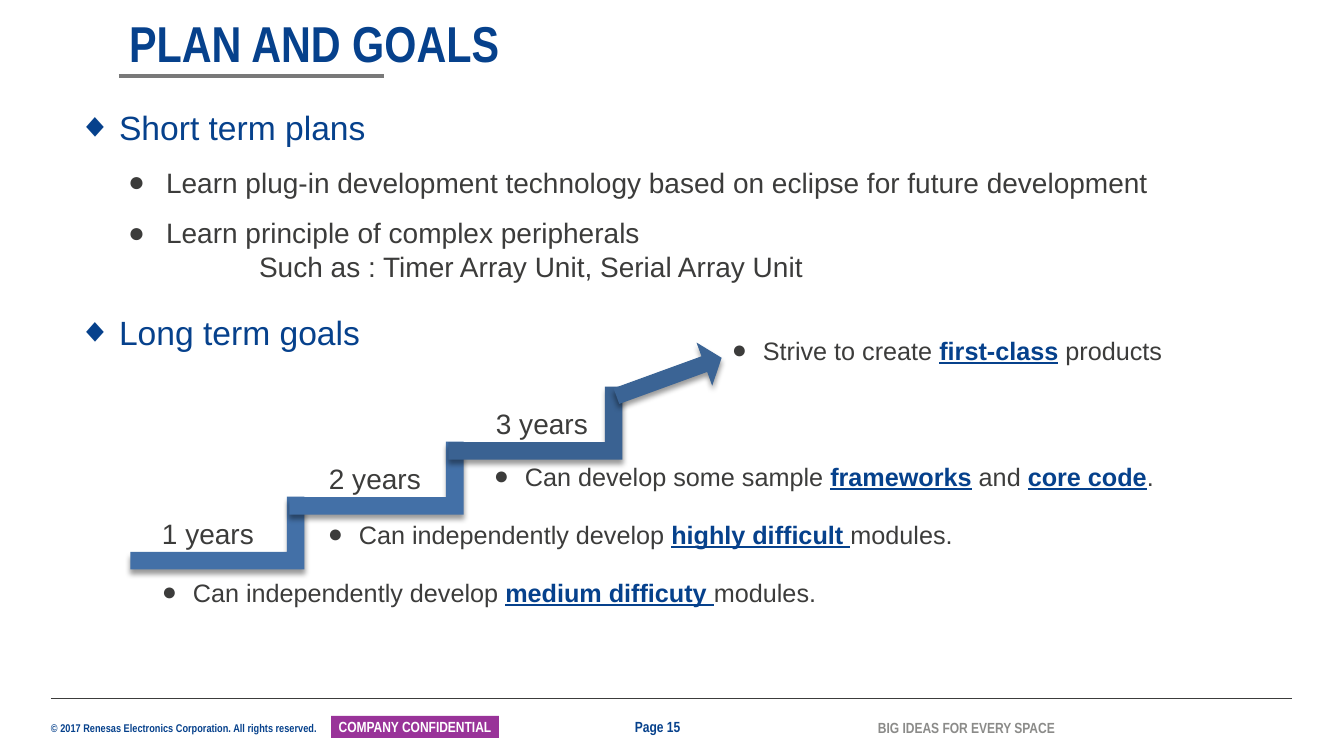
from lxml import etree
from pptx import Presentation
from pptx.dml.color import RGBColor
from pptx.enum.shapes import MSO_CONNECTOR as Connector, MSO_SHAPE as Shape
from pptx.enum.text import MSO_ANCHOR as Anchor, MSO_AUTO_SIZE as AutoSize, PP_ALIGN as Align
from pptx.oxml import parse_xml
from pptx.oxml.ns import nsdecls, qn
from pptx.util import Emu, Pt

PX = 914400 / 100.8
BLUE, DARK, GREY, WHITE = "06418C", "3C3C3B", "8B8B89", "FFFFFF"
NARROW, SANS = "Arial Narrow", "Arial"
DIAMOND, DOT = "◆", "●"

TITLE = "PLAN AND GOALS"
# text, level, bullet, indent px, hanging px, space before pt, size pt, colour
SHORT_TERM = [
    ("Short term plans", 0, DIAMOND, 41, 41, 0, 24, BLUE),
    ("Learn plug-in development technology based on eclipse for future development",
     1, DOT, 88, 38, 13, 20, DARK),
    ("Learn principle of complex peripherals", 1, DOT, 88, 38, 12, 20, DARK),
    ("Such as : Timer Array Unit, Serial Array Unit", 1, None, 181, 0, 0, 20, DARK),
]
LONG_TERM = [("Long term goals", 0, DIAMOND, 41, 41, 0, 24, BLUE)]

# label, step colour, caption width, caption runs (text, is key phrase)
STEPS = [
    ("1 years", "4370A7", 681, [("Can independently develop ", False),
                                ("medium difficuty ", True), ("modules.", False)]),
    ("2 years", "4370A7", 651, [("Can independently develop ", False),
                                ("highly difficult ", True), ("modules.", False)]),
    ("3 years", "3A6292", 690, [("Can develop some sample ", False), ("frameworks", True),
                                (" and ", False), ("core code", True), (".", False)]),
]
FINAL_GOAL = [("Strive to create ", False), ("first-class", True), (" products", False)]

# text, box px, size pt, colour
FOOTERS = [
    ("© 2017 Renesas Electronics Corporation. All rights reserved.", (51, 722, 275, 13), 8, BLUE),
    ("Page 15", (635, 718, 74, 18), 10.5, BLUE),
    ("BIG IDEAS FOR EVERY SPACE", (878, 719, 181, 18), 10.5, GREY),
]
BADGE = "COMPANY CONFIDENTIAL"
# start x, end x, y, colour, width pt
RULES = [(51, 1292, 698, DARK, 0.5), (119, 384, 76, "797979", 3)]


def px(*lengths):
    return [Emu(round(length * PX)) for length in lengths]


def color(value):
    return RGBColor.from_string(value)


def add_run(para, text, size, tone, font=SANS, bold=False, underline=False):
    run = para.add_run()
    run.text = text
    run.font.name, run.font.size = font, Pt(size)
    run.font.bold, run.font.underline = bold, underline
    run.font.color.rgb = color(tone)


def set_bullet(para, bullet, indent, hanging):
    props = para._p.get_or_add_pPr()
    left, first = px(indent, -hanging)
    props.set("marL", str(left))
    props.set("indent", str(first))
    if bullet:
        etree.SubElement(props, qn("a:buFont")).set("typeface", SANS)
        etree.SubElement(props, qn("a:buChar")).set("char", bullet)
    else:
        etree.SubElement(props, qn("a:buNone"))


def place(shape, box):
    shape.left, shape.top, shape.width, shape.height = px(*box)


def add_text(page, box, margin=True):
    """Add a wrapping text box and return its text frame."""
    frame = page.shapes.add_textbox(*px(*box)).text_frame
    frame.word_wrap = True
    if not margin:
        frame.margin_left = frame.margin_right = frame.margin_top = frame.margin_bottom = 0
    return frame


def fill_list(holder, box, items):
    place(holder, box)
    frame = holder.text_frame
    frame.auto_size = AutoSize.NONE
    frame.vertical_anchor = Anchor.TOP
    for number, (text, level, bullet, indent, hanging, before, size, tone) in enumerate(items):
        para = frame.add_paragraph() if number else frame.paragraphs[0]
        para.level = level
        set_bullet(para, bullet, indent, hanging)
        para.space_before = Pt(before)
        add_run(para, text, size, tone)


def add_caption(page, box, parts):
    para = add_text(page, box).paragraphs[0]
    set_bullet(para, DOT, 31, 31)
    for text, key in parts:
        add_run(para, text, 18, BLUE if key else DARK, bold=key, underline=key)


def add_block(page, kind, box, tone, rotation, adjustments):
    """Add a rotated, unlined shape with a soft shadow below it."""
    block = page.shapes.add_shape(kind, *px(*box))
    block.rotation = rotation
    for number, value in enumerate(adjustments):
        block.adjustments[number] = value
    block.fill.solid()
    block.fill.fore_color.rgb = color(tone)
    block.line.fill.background()
    block.shadow.inherit = False
    effects = block._element.spPr.find(qn("a:effectLst"))
    effects.append(parse_xml(
        f'<a:outerShdw {nsdecls("a")} blurRad="{Pt(4)}" dist="{Pt(3)}" dir="5400000" '
        'rotWithShape="0"><a:srgbClr val="000000"><a:alpha val="40000"/></a:srgbClr>'
        '</a:outerShdw>'))


def add_rule(page, start, end, y, tone, width):
    rule = page.shapes.add_connector(Connector.STRAIGHT, *px(start, y, end, y))
    rule.line.color.rgb = color(tone)
    rule.line.width = Pt(width)
    etree.SubElement(rule._element.spPr, qn("a:effectLst"))


def add_footer(page):
    for text, box, size, tone in FOOTERS:
        frame = add_text(page, box, margin=False)
        frame.vertical_anchor = Anchor.MIDDLE
        add_run(frame.paragraphs[0], text, size, tone, NARROW, bold=True)
    badge = page.shapes.add_shape(Shape.RECTANGLE, *px(331, 716, 168, 22))
    badge.shadow.inherit = False
    badge.fill.solid()
    badge.fill.fore_color.rgb = color("993399")
    badge.line.fill.background()
    frame = badge.text_frame
    frame.margin_left, frame.margin_right = px(4, 4)
    frame.margin_top = frame.margin_bottom = 0
    frame.vertical_anchor = Anchor.MIDDLE
    para = frame.paragraphs[0]
    para.alignment = Align.CENTER
    add_run(para, BADGE, 10.5, WHITE, NARROW, bold=True)


def add_title(title):
    place(title, (119, 13, 940, 66))
    frame = title.text_frame
    frame.auto_size = AutoSize.NONE
    frame.vertical_anchor = Anchor.MIDDLE
    para = frame.paragraphs[0]
    para.alignment = Align.LEFT
    para.line_spacing = 0.9
    add_run(para, TITLE, 36, BLUE, NARROW, bold=True)


def add_staircase(page):
    for number, (label, tone, width, parts) in enumerate(STEPS):
        rise = 55 * number
        add_block(page, Shape.CORNER, (181 + 159 * number, 446 - rise, 73, 174),
                  tone, 270, (0.24, 0.24))
        para = add_text(page, (152 + 167 * number, 512 - rise, 116, 44)).paragraphs[0]
        add_run(para, label, 20, DARK)
        add_caption(page, (152 + 166 * number, 572 - 58 * number, width, 40), parts)
    add_block(page, Shape.UP_ARROW, (646, 321, 46, 112), "3B6495", 70, (0.36, 0.4))
    add_caption(page, (722, 330, 455, 40), FINAL_GOAL)


def main():
    deck = Presentation()
    deck.slide_width, deck.slide_height = px(1344, 756)
    page = deck.slides.add_slide(deck.slide_layouts[3])
    title, short_term, long_term = page.placeholders
    add_title(title)
    fill_list(short_term, (68, 102, 1182, 189), SHORT_TERM)
    fill_list(long_term, (68, 307, 406, 50), LONG_TERM)
    for rule in RULES:
        add_rule(page, *rule)
    add_staircase(page)
    add_footer(page)
    deck.save("out.pptx")


if __name__ == "__main__":
    main()
